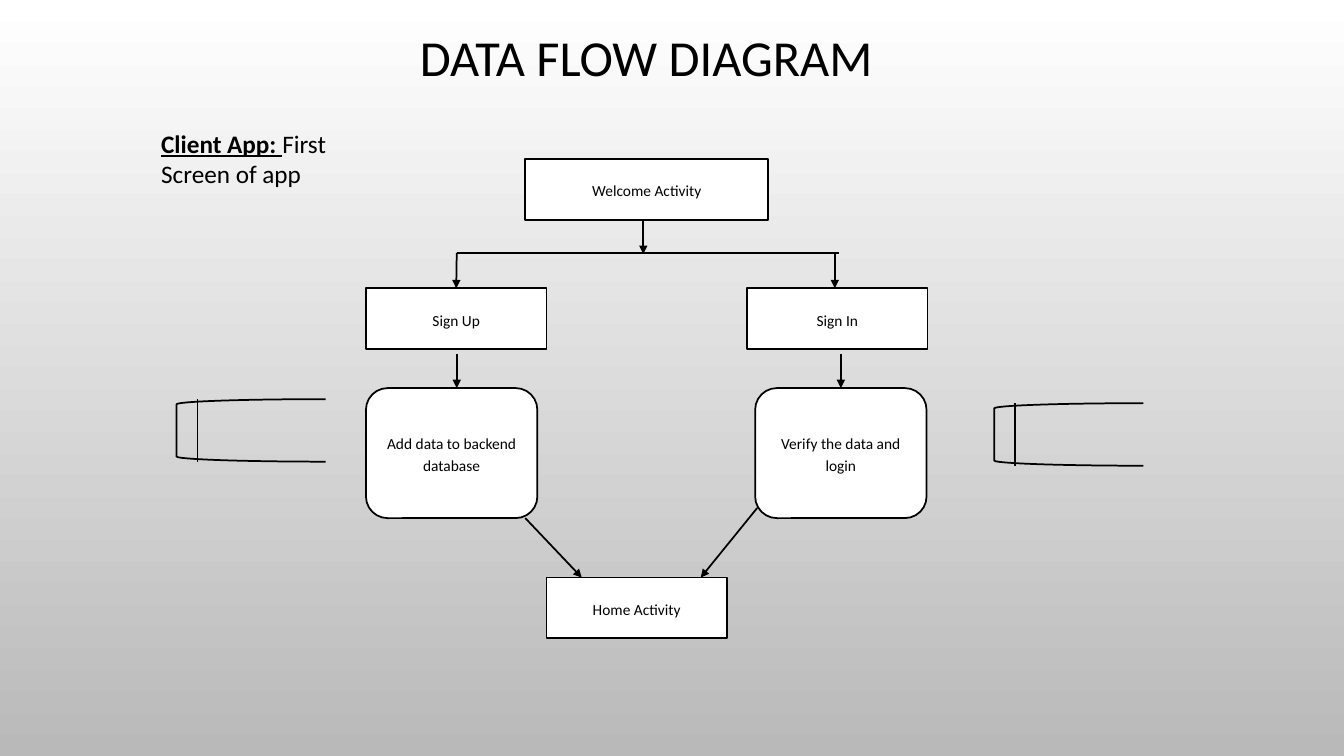
from dataclasses import dataclass
from typing import Optional

from lxml import etree
from pptx import Presentation
from pptx.dml.color import RGBColor
from pptx.enum.shapes import MSO_CONNECTOR, MSO_SHAPE as SHAPE
from pptx.enum.text import MSO_ANCHOR, MSO_AUTO_SIZE, PP_ALIGN
from pptx.oxml.ns import qn
from pptx.util import Inches, Pt


@dataclass(frozen=True)
class Theme:
    font: str = "Calibri"
    ink: RGBColor = RGBColor(0, 0, 0)
    paper: RGBColor = RGBColor(255, 255, 255)
    shade: RGBColor = RGBColor(0xB9, 0xB9, 0xB9)
    title: float = 36
    note: float = 18
    label: float = 11
    line: float = 1.25


@dataclass(frozen=True)
class Node:
    text: str
    left: float
    top: float
    width: float = 1.79
    height: float = 0.6
    shape: SHAPE = SHAPE.RECTANGLE


@dataclass(frozen=True)
class Link:
    x1: float
    y1: float
    x2: float
    y2: float
    arrow: bool = True
    target: Optional[str] = None  # node whose top middle the link joins


@dataclass(frozen=True)
class Store:
    left: float
    top: float
    width: float = 1.48
    height: float = 0.62
    bar: float = 0.21


THEME = Theme()
SIGN_UP, VERIFY = "Sign Up", "Verify the data and login"
PROCESS = dict(width=1.7, height=1.29, shape=SHAPE.ROUNDED_RECTANGLE)

NODES = [
    Node("Welcome Activity", 5.21, 1.58, width=2.41),
    Node(SIGN_UP, 3.63, 2.86),
    Node("Sign In", 7.41, 2.86),
    Node("Add data to backend database", 3.63, 3.85, **PROCESS),
    Node(VERIFY, 7.49, 3.85, **PROCESS),
    Node("Home Activity", 5.42, 5.73),
]
LINKS = [
    Link(6.38, 2.18, 6.38, 2.52),
    Link(4.53, 2.51, 8.32, 2.51, arrow=False),
    Link(4.53, 2.51, 4.53, 2.86, target=SIGN_UP),
    Link(8.28, 2.51, 8.28, 2.86),
    Link(4.53, 3.51, 4.53, 3.85),
    Link(8.34, 3.51, 8.34, 3.85, target=VERIFY),
    Link(5.21, 5.14, 5.77, 5.73),
    Link(7.51, 5.04, 6.95, 5.73),
]
STORES = [Store(1.75, 3.96), Store(9.86, 4.0)]


def style_run(r, size: float) -> None:
    r.font.name = THEME.font
    r.font.size = Pt(size)
    r.font.color.rgb = THEME.ink


def style_line(sp) -> None:
    sp.line.color.rgb = THEME.ink
    sp.line.width = Pt(THEME.line)


def paint_background(slide) -> None:
    fill = slide.background.fill
    fill.gradient()
    fill.gradient_angle = 270
    for stop, color in zip(fill.gradient_stops, (THEME.paper, THEME.shade)):
        stop.color.rgb = color


def add_title(slide) -> None:
    sp = slide.shapes.add_textbox(Inches(2.85), Inches(-0.03), Inches(7.12), Inches(1.25))
    tf = sp.text_frame
    tf.word_wrap = True
    tf.vertical_anchor = MSO_ANCHOR.MIDDLE
    tf.text = "DATA FLOW DIAGRAM"
    p = tf.paragraphs[0]
    p.alignment = PP_ALIGN.CENTER
    p.line_spacing = 0.9
    style_run(p.runs[0], THEME.title)


def add_note(slide) -> None:
    sp = slide.shapes.add_textbox(Inches(1.5), Inches(1.22), Inches(2.25), Inches(0.71))
    tf = sp.text_frame
    tf.word_wrap = True
    tf.auto_size = MSO_AUTO_SIZE.SHAPE_TO_FIT_TEXT
    p = tf.paragraphs[0]
    for text, heading in (("Client App: ", True), ("First Screen of app", False)):
        r = p.add_run()
        r.text = text
        style_run(r, THEME.note)
        r.font.bold = r.font.underline = heading


def add_node(slide, node: Node):
    sp = slide.shapes.add_shape(node.shape, Inches(node.left), Inches(node.top),
                                Inches(node.width), Inches(node.height))
    sp.shadow.inherit = False
    sp.fill.solid()
    sp.fill.fore_color.rgb = THEME.paper
    style_line(sp)
    tf = sp.text_frame
    tf.word_wrap = True
    tf.vertical_anchor = MSO_ANCHOR.MIDDLE
    tf.text = node.text
    p = tf.paragraphs[0]
    p.alignment = PP_ALIGN.CENTER
    p.line_spacing = 1.15
    p.space_after = Pt(10)
    style_run(p.runs[0], THEME.label)
    return sp


def add_link(slide, link: Link, boxes: dict) -> None:
    sp = slide.shapes.add_connector(MSO_CONNECTOR.STRAIGHT, Inches(link.x1), Inches(link.y1),
                                    Inches(link.x2), Inches(link.y2))
    style_line(sp)
    if link.arrow:
        etree.SubElement(sp.line._get_or_add_ln(), qn("a:tailEnd"), type="triangle")
    etree.SubElement(sp._element.spPr, qn("a:effectLst"))
    if link.target:
        sp.end_connect(boxes[link.target], 0)


def add_store(slide, store: Store) -> None:
    """Draw a data store: an open bracket with a bar near its closed end."""
    sp = slide.shapes.add_shape(SHAPE.LEFT_BRACKET, Inches(store.left), Inches(store.top),
                                Inches(store.width), Inches(store.height))
    sp.shadow.inherit = False
    sp.fill.background()
    style_line(sp)
    x = store.left + store.bar
    add_link(slide, Link(x, store.top, x, store.top + store.height, arrow=False), {})


def main() -> None:
    prs = Presentation()
    prs.slide_width, prs.slide_height = Inches(13.33), Inches(7.5)
    slide = prs.slides.add_slide(prs.slide_layouts[6])
    paint_background(slide)
    add_title(slide)
    boxes = {node.text: add_node(slide, node) for node in NODES}
    for link in LINKS:
        add_link(slide, link, boxes)
    for store in STORES:
        add_store(slide, store)
    add_note(slide)
    prs.save("out.pptx")


if __name__ == "__main__":
    main()
